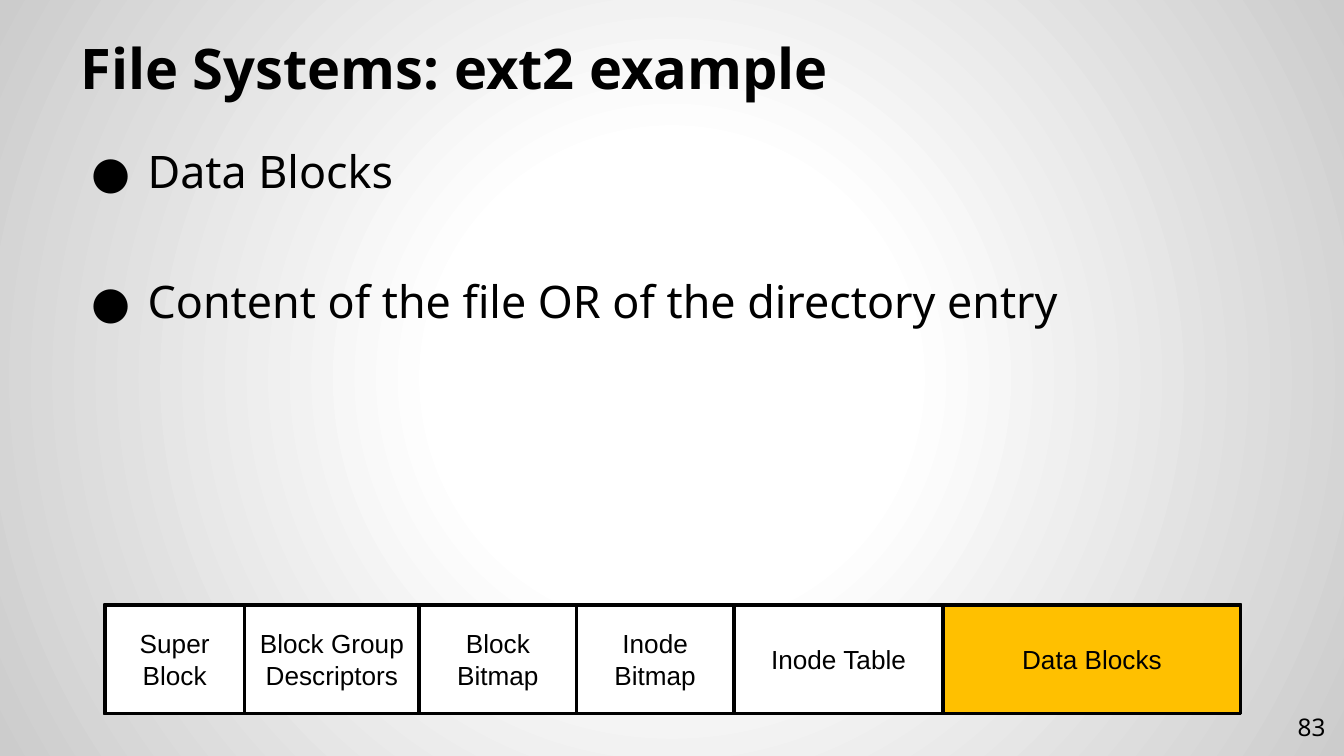
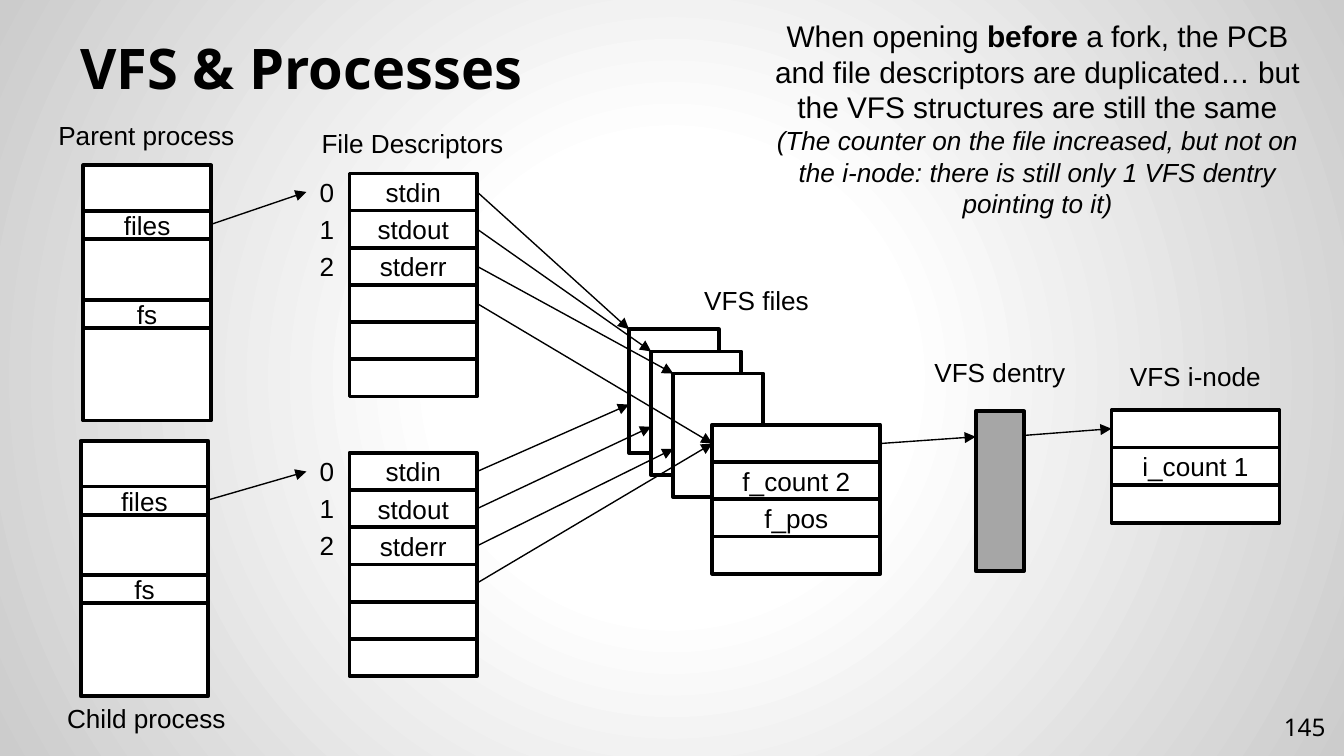
from lxml.etree import SubElement
from pptx import Presentation
from pptx.dml.color import RGBColor
from pptx.enum.shapes import MSO_CONNECTOR, MSO_SHAPE
from pptx.enum.text import MSO_ANCHOR, MSO_AUTO_SIZE, PP_ALIGN
from pptx.oxml import parse_xml
from pptx.oxml.ns import nsdecls, qn
from pptx.util import Inches, Pt

BLACK = RGBColor(0x00, 0x00, 0x00)
WHITE = RGBColor(0xFF, 0xFF, 0xFF)
EDGE_GRAY = RGBColor(0xCC, 0xCC, 0xCC)
DENTRY_GRAY = RGBColor(0xA6, 0xA6, 0xA6)
HIGHLIGHT = RGBColor(0xFF, 0xC0, 0x00)
HEADING_FONT = "Noto Sans"
DIAGRAM_FONT = "Arial"
BACKDROP_STOPS = [(0, WHITE), (30, WHITE), (100, EDGE_GRAY)]

SLIDE_WIDTH = 10
SLIDE_HEIGHT = SLIDE_WIDTH * 9 / 16
LABEL_WIDTH, LABEL_HEIGHT = 1.66, 0.34
COLUMN_WIDTH = 0.95
RECORD_WIDTH = 1.25
DESCRIPTOR_LEFT, DESCRIPTOR_HEIGHT = 2.6, 1.66
DESCRIPTOR_ROWS = ["stdin", "stdout", "stderr", "", "", ""]
DESCRIPTOR_STEP = DESCRIPTOR_HEIGHT / len(DESCRIPTOR_ROWS)
INDEX_LEFT = 2.28
FILE_LEFT, FILE_TOP, FILE_SHIFT = 4.68, 2.45, 0.33 / 2
OPEN_FILE_LEFT, OPEN_FILE_TOP = 5.3, 3.16


def inches(*lengths):
    return [Inches(length) for length in lengths]


def write_text(paragraph, text, size=14, font=DIAGRAM_FONT, bold=False,
               italic=False, align=PP_ALIGN.CENTER):
    paragraph.alignment = align
    run = paragraph.add_run()
    run.text = text
    run.font.size = Pt(size)
    run.font.name = font
    run.font.bold = bold
    run.font.italic = italic
    run.font.color.rgb = BLACK


def add_frame(shapes, box, inset=0.05, anchor=MSO_ANCHOR.TOP, grow=False):
    frame = shapes.add_textbox(*inches(*box)).text_frame
    frame.word_wrap = True
    frame.vertical_anchor = anchor
    frame.margin_top = frame.margin_bottom = Inches(inset)
    if grow:
        frame.auto_size = MSO_AUTO_SIZE.SHAPE_TO_FIT_TEXT
    return frame


def add_label(shapes, text, center, top):
    box = (center - LABEL_WIDTH / 2, top, LABEL_WIDTH, LABEL_HEIGHT)
    write_text(add_frame(shapes, box, grow=True).paragraphs[0], text)


def add_cell(shapes, box, text="", fill=WHITE):
    cell = shapes.add_shape(MSO_SHAPE.RECTANGLE, *inches(*box))
    cell.shadow.inherit = False
    if fill is None:
        cell.fill.background()
    else:
        cell.fill.solid()
        cell.fill.fore_color.rgb = fill
    cell.line.color.rgb = BLACK
    cell.line.width = Pt(2)
    if text:
        cell.text_frame.word_wrap = True
        cell.text_frame.vertical_anchor = MSO_ANCHOR.MIDDLE
        write_text(cell.text_frame.paragraphs[0], text)


def add_stack(shapes, box, rows):
    left, top, width, height = box
    step = height / len(rows)
    for index, text in enumerate(rows):
        add_cell(shapes, (left, top + index * step, width, step), text)


def add_arrow(shapes, start, end):
    arrow = shapes.add_connector(MSO_CONNECTOR.STRAIGHT, *inches(*start, *end))
    arrow.line.color.rgb = BLACK
    arrow.line.width = Pt(0.75)
    properties = arrow.element.spPr
    SubElement(properties.find(qn("a:ln")), qn("a:tailEnd"), type="triangle")
    SubElement(properties, qn("a:effectLst"))


def paint_backdrop(slide):
    slide.background.fill.gradient()
    gradient = next(slide.element.iter(qn("a:gradFill")))
    stops = "".join(
        f'<a:gs pos="{position * 1000}"><a:srgbClr val="{color}"/></a:gs>'
        for position, color in BACKDROP_STOPS)
    gradient.getparent().replace(gradient, parse_xml(
        f'<a:gradFill {nsdecls("a")}><a:gsLst>{stops}</a:gsLst>'
        '<a:path path="circle"><a:fillToRect l="50000" t="50000" '
        'r="50000" b="50000"/></a:path></a:gradFill>'))


def start_slide(deck, title, number):
    slide = deck.slides.add_slide(deck.slide_layouts[6])
    paint_backdrop(slide)
    heading = add_frame(slide.shapes, (0.5, 0.23, 9, 0.62), 0.1, MSO_ANCHOR.BOTTOM)
    write_text(heading.paragraphs[0], title, size=30, font=HEADING_FONT,
               bold=True, align=PP_ALIGN.LEFT)
    footer = add_frame(slide.shapes, (9.36, 5.19, 0.6, 0.43), 0.1, MSO_ANCHOR.MIDDLE)
    write_text(footer.paragraphs[0], number, size=13, font=HEADING_FONT,
               align=PP_ALIGN.RIGHT)
    return slide


def add_bullets(shapes, box, points):
    frame = add_frame(shapes, box, inset=0.1)
    for index, point in enumerate(points):
        paragraph = frame.add_paragraph() if index else frame.paragraphs[0]
        properties = paragraph._p.get_or_add_pPr()
        properties.set("marL", str(Inches(0.5)))
        properties.set("indent", str(Inches(-0.42)))
        bullet_color = SubElement(properties, qn("a:buClr"))
        SubElement(bullet_color, qn("a:srgbClr"), val=str(BLACK))
        SubElement(properties, qn("a:buFont"), typeface=HEADING_FONT)
        SubElement(properties, qn("a:buChar"), char="●")
        if index:
            paragraph.space_before = Pt(41)
        write_text(paragraph, point, size=24, font=HEADING_FONT, align=PP_ALIGN.LEFT)


def draw_block_group(shapes, box):
    left, top, width, height = box
    sections = [("Super Block", 8), ("Block Group Descriptors", 10),
                ("Block Bitmap", 9), ("Inode Bitmap", 9),
                ("Inode Table", 12), ("Data Blocks", 17)]
    unit = width / sum(share for _, share in sections)
    add_cell(shapes, box, fill=None)
    for name, share in sections:
        fill = HIGHLIGHT if name == "Data Blocks" else WHITE
        add_cell(shapes, (left, top, share * unit, height), name, fill)
        left += share * unit


def draw_process(shapes, left, top, name, name_top):
    add_cell(shapes, (left, top, COLUMN_WIDTH, 1.9))
    for field, offset in (("files", 0.34), ("fs", 1.0)):
        add_cell(shapes, (left, top + offset, COLUMN_WIDTH, 0.21), field)
    add_label(shapes, name, 1.09, name_top)


def draw_descriptors(shapes, top):
    add_stack(shapes, (DESCRIPTOR_LEFT, top, COLUMN_WIDTH, DESCRIPTOR_HEIGHT),
              DESCRIPTOR_ROWS)
    for index in range(3):
        box = (INDEX_LEFT, top - 0.03 + index * DESCRIPTOR_STEP, 0.31, LABEL_HEIGHT)
        write_text(add_frame(shapes, box, grow=True).paragraphs[0], str(index),
                   align=PP_ALIGN.LEFT)


def draw_files(shapes):
    for index in range(3):
        shift = index * FILE_SHIFT
        add_cell(shapes, (FILE_LEFT + shift, FILE_TOP + shift, 0.67, 0.92))
    add_label(shapes, "VFS files", 5.63, 2.07)
    add_stack(shapes, (OPEN_FILE_LEFT, OPEN_FILE_TOP, RECORD_WIDTH, 1.11),
              ["", "f_count 2", "f_pos", ""])


def draw_inode(shapes, left, top):
    add_stack(shapes, (left, top, RECORD_WIDTH, 0.84), ["", "i_count 1", ""])
    add_label(shapes, "VFS i-node", left + RECORD_WIDTH / 2, top - 0.42)


def draw_dentry(shapes, box):
    left, top, width, _ = box
    add_cell(shapes, box, fill=DENTRY_GRAY)
    add_label(shapes, "VFS dentry", left + width / 2, top - 0.46)


def link_process(shapes, process_left, process_top, descriptor_top, entry_drop):
    add_arrow(shapes, (process_left + COLUMN_WIDTH, process_top + 0.44),
              (INDEX_LEFT, descriptor_top + DESCRIPTOR_STEP / 2))
    targets = [(FILE_LEFT + index * FILE_SHIFT,
                FILE_TOP + index * FILE_SHIFT + entry_drop) for index in range(3)]
    targets.append((OPEN_FILE_LEFT, OPEN_FILE_TOP + 0.14))
    for index, target in enumerate(targets):
        row_middle = descriptor_top + (index + 0.5) * DESCRIPTOR_STEP
        add_arrow(shapes, (DESCRIPTOR_LEFT + COLUMN_WIDTH, row_middle), target)


def write_fork_note(shapes, box):
    frame = add_frame(shapes, box, grow=True)
    statement = frame.paragraphs[0]
    write_text(statement, "When opening ", size=16)
    write_text(statement, "before", size=16, bold=True)
    write_text(statement, " a fork, the PCB and file descriptors are duplicated… "
               "but the VFS structures are still the same", size=16)
    write_text(frame.add_paragraph(), "(The counter on the file increased, but not on "
               "the i-node: there is still only 1 VFS dentry pointing to it)", italic=True)


def build_ext2_slide(deck):
    slide = start_slide(deck, "File Systems: ext2 example", "83")
    add_bullets(slide.shapes, (0.5, 0.97, 9, 4.41),
                ["Data Blocks", "Content of the file OR of the directory entry"])
    draw_block_group(slide.shapes.add_group_shape().shapes, (0.78, 4.5, 8.45, 0.81))


def build_vfs_slide(deck):
    slide = start_slide(deck, "VFS & Processes", "145")
    shapes = slide.shapes
    draw_files(shapes.add_group_shape().shapes)
    draw_dentry(shapes, (7.26, 3.06, 0.36, 1.19))
    draw_inode(shapes.add_group_shape().shapes, 8.27, 3.05)
    processes = [("Parent process", 0.84, 0.62, 1.23, 1.29, 0),
                 ("Child process", 5.18, 0.6, 3.28, 3.37, 0.56)]
    for name, name_top, left, top, descriptor_top, entry_drop in processes:
        draw_process(shapes.add_group_shape().shapes, left, top, name, name_top)
        draw_descriptors(shapes.add_group_shape().shapes, descriptor_top)
        link_process(shapes, left, top, descriptor_top, entry_drop)
    add_label(shapes, "File Descriptors", 3.07, 0.9)
    add_arrow(shapes, (6.55, 3.3), (7.26, 3.25))
    add_arrow(shapes, (7.62, 3.24), (8.27, 3.19))
    write_fork_note(shapes, (5.63, 0.08, 4.18, 1.62))


def main():
    deck = Presentation()
    deck.slide_width, deck.slide_height = inches(SLIDE_WIDTH, SLIDE_HEIGHT)
    build_ext2_slide(deck)
    build_vfs_slide(deck)
    deck.save("out.pptx")


if __name__ == "__main__":
    main()
